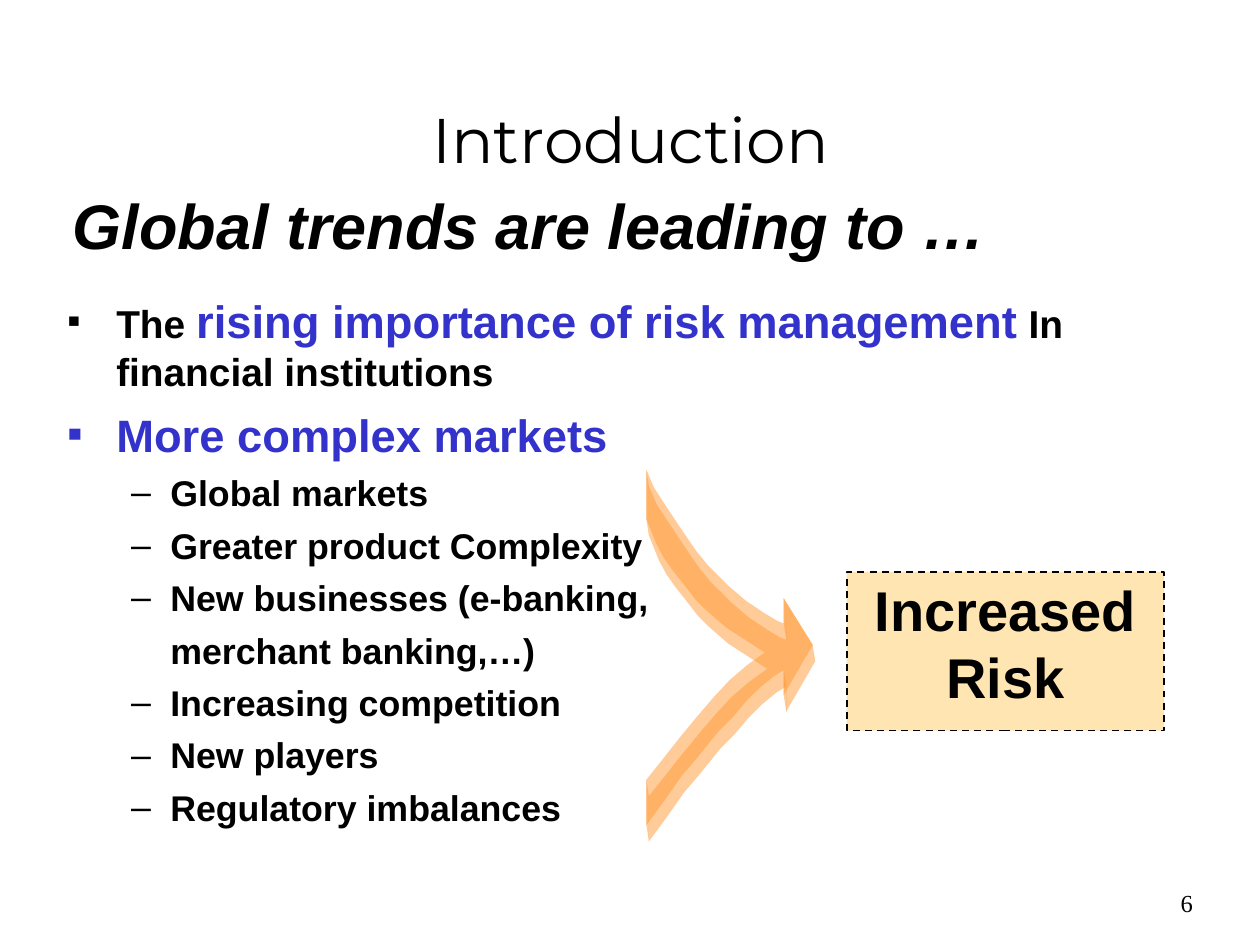
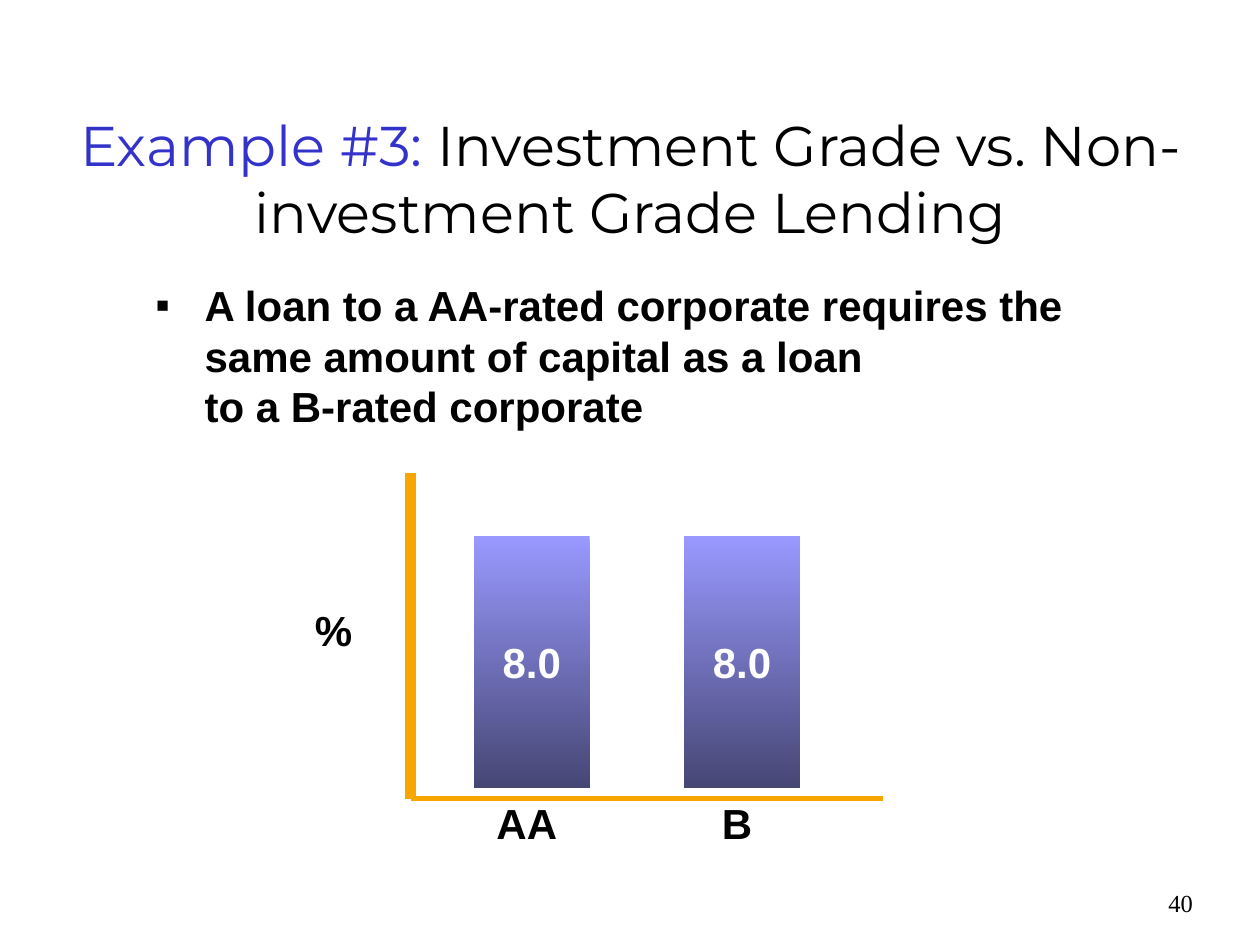
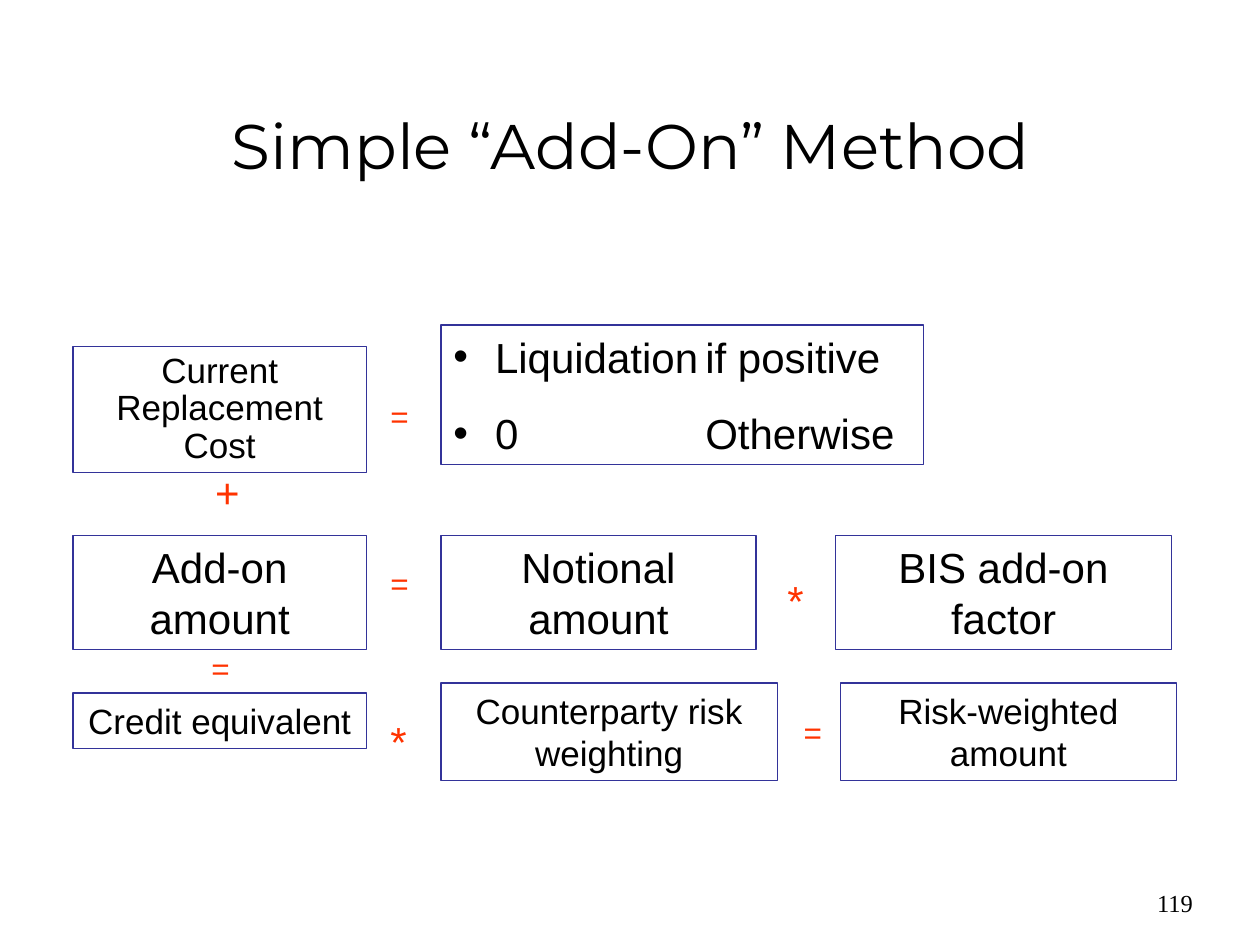
from lxml import etree
from pptx import Presentation
from pptx.dml.color import RGBColor
from pptx.enum.dml import MSO_LINE_DASH_STYLE
from pptx.enum.shapes import MSO_CONNECTOR, MSO_SHAPE
from pptx.enum.text import MSO_ANCHOR, MSO_AUTO_SIZE, PP_ALIGN
from pptx.oxml.ns import qn
from pptx.util import Cm, Pt

LEFT, CENTER, RIGHT = PP_ALIGN.LEFT, PP_ALIGN.CENTER, PP_ALIGN.RIGHT
TOP, MIDDLE = MSO_ANCHOR.TOP, MSO_ANCHOR.MIDDLE
RECTANGLE = MSO_SHAPE.RECTANGLE
STRAIGHT = MSO_CONNECTOR.STRAIGHT
DASH = MSO_LINE_DASH_STYLE.DASH

BLACK = RGBColor(0x00, 0x00, 0x00)
WHITE = RGBColor(0xFF, 0xFF, 0xFF)
BLUE = RGBColor(0x33, 0x33, 0xCC)
BOX_LINE = RGBColor(0x33, 0x33, 0x99)
OPERATOR_RED = RGBColor(0xFF, 0x33, 0x00)
ARROW_ORANGE = RGBColor(0xFF, 0x99, 0x33)
RISK_YELLOW = RGBColor(0xFF, 0xCC, 0x66)
AXIS_ORANGE = RGBColor(0xF8, 0xA5, 0x00)
BAR_TOP = RGBColor(0x99, 0x99, 0xFF)
BAR_BOTTOM = RGBColor(0x46, 0x46, 0x75)

TITLE_FONT, TEXT_FONT, NUMBER_FONT = "Montserrat", "Arial", "Times New Roman"
TITLE_AND_BODY, TITLE_ONLY = 1, 5

# Merging arrow, in hundredths of an inch from its top left corner
ARROW_UNIT = Cm(2.54) / 100
ARROW_DEPTH = (2, 13)
ARROW_OUTLINE = [
    (0, 282), (0, 246), (12, 231), (27, 212), (41, 195), (53, 181), (66, 167),
    (80, 155), (94, 145), (80, 136), (63, 125), (47, 111), (39, 103), (29, 90),
    (21, 80), (14, 70), (8, 59), (0, 39), (0, 0), (6, 14), (15, 28), (23, 40),
    (31, 52), (40, 65), (49, 76), (65, 92), (79, 104), (94, 114), (104, 120),
    (109, 122), (109, 102), (132, 139), (109, 179), (109, 159), (101, 164),
    (90, 173), (79, 184), (68, 197), (57, 208), (40, 229), (28, 243), (14, 263),
]
ARROW_SIDES = [
    ((109, 122), (109, 102)), ((109, 102), (132, 139)), ((109, 179), (109, 159)),
    ((0, 39), (0, 0)), ((0, 282), (0, 246)),
]


# Text helpers
def format_runs(paragraph, size, color=BLACK, font=TEXT_FONT, bold=False, italic=False):
    for run in paragraph.runs:
        run.font.size = Pt(size)
        run.font.name = font
        run.font.color.rgb = color
        run.font.bold = bold
        run.font.italic = italic


def add_runs(paragraph, runs, **style):
    """Fill a paragraph from (text, size, color) runs."""
    for text, size, color in runs:
        run = paragraph.add_run()
        run.text = text
        run.font.size = Pt(size)
        run.font.color.rgb = color
        run.font.name = style.get("font", TEXT_FONT)
        run.font.bold = style.get("bold", False)


def set_bullet(paragraph, character, margin, hanging, color=BLACK, percent=100, tab=None):
    properties = paragraph._p.get_or_add_pPr()
    properties.set("marL", str(Cm(margin)))
    properties.set("indent", str(-Cm(hanging)))
    if character is None:
        etree.SubElement(properties, qn("a:buNone"))
        return
    bullet_color = etree.SubElement(properties, qn("a:buClr"))
    etree.SubElement(bullet_color, qn("a:srgbClr")).set("val", str(color))
    etree.SubElement(properties, qn("a:buSzPct")).set("val", str(percent * 1000))
    etree.SubElement(properties, qn("a:buFont")).set("typeface", TEXT_FONT)
    etree.SubElement(properties, qn("a:buChar")).set("char", character)
    if tab:
        tabs = etree.SubElement(properties, qn("a:tabLst"))
        etree.SubElement(tabs, qn("a:tab"), pos=str(Cm(tab)), algn="l")


def add_text(slide, text, place, size, alignment=CENTER, **style):
    box = slide.shapes.add_textbox(*map(Cm, place))
    frame = box.text_frame
    frame.text = text
    frame.paragraphs[0].alignment = alignment
    format_runs(frame.paragraphs[0], size, **style)
    return frame


# Shared slide parts
def place_placeholder(placeholder, place, anchor):
    placeholder.left, placeholder.top, placeholder.width, placeholder.height = map(Cm, place)
    placeholder.text_frame.auto_size = MSO_AUTO_SIZE.NONE
    placeholder.text_frame.vertical_anchor = anchor


def start_slide(presentation, layout, title_runs, title_top, number):
    slide = presentation.slides.add_slide(presentation.slide_layouts[layout])
    title = slide.shapes.title
    place_placeholder(title, (1.07, title_top, 23.29, 2.74), MIDDLE)
    paragraph = title.text_frame.paragraphs[0]
    paragraph.alignment = CENTER
    add_runs(paragraph, title_runs, font=TITLE_FONT)
    add_text(slide, number, (19.02, 17.78, 5.28, 1.27), 14, RIGHT,
             font=NUMBER_FONT).word_wrap = True
    return slide


def fill_body(slide, place, items):
    """Each item is (level, bullet, runs)."""
    body = slide.placeholders[1]
    place_placeholder(body, place, TOP)
    frame = body.text_frame
    for index, (level, bullet, runs) in enumerate(items):
        paragraph = frame.add_paragraph() if index else frame.paragraphs[0]
        paragraph.level = level
        if level:
            set_bullet(paragraph, bullet, 2.06, 0.79 if bullet else 0)
        else:
            set_bullet(paragraph, bullet, 0.97, 0.97, runs[0][2], 50)
        paragraph.space_before = Pt((5.5 if level else 7) if index else 0)
        add_runs(paragraph, runs, bold=True)


# Shape helpers
def set_opacity(fill, percent):
    color = fill._xPr.find(qn("a:solidFill"))[0]
    etree.SubElement(color, qn("a:alpha")).set("val", str(percent * 1000))


def add_box(slide, place, lines, size, anchor=TOP, color=BLACK, bold=False):
    box = slide.shapes.add_shape(RECTANGLE, *map(Cm, place))
    box.shadow.inherit = False
    box.fill.background()
    box.line.color.rgb = BOX_LINE
    box.line.width = Pt(0.75)
    frame = box.text_frame
    frame.vertical_anchor = anchor
    frame.text = "\n".join(lines)
    for paragraph in frame.paragraphs:
        paragraph.alignment = CENTER
        format_runs(paragraph, size, color, bold=bold)
    return box


def add_line(slide, start, end, width):
    line = slide.shapes.add_connector(STRAIGHT, *map(Cm, start + end))
    line.line.color.rgb = AXIS_ORANGE
    line.line.width = Pt(width)
    etree.SubElement(line._element.spPr, qn("a:effectLst"))


def add_facet(slide, points, left, top):
    builder = slide.shapes.build_freeform(*points[0], scale=ARROW_UNIT)
    builder.add_line_segments(points[1:], close=True)
    facet = builder.convert_to_shape(Cm(left), Cm(top))
    facet.shadow.inherit = False
    facet.fill.solid()
    facet.fill.fore_color.rgb = ARROW_ORANGE
    set_opacity(facet.fill, 50)
    facet.line.fill.background()


def add_merging_arrow(slide, left, top):
    def pushed(points):
        return [(x + ARROW_DEPTH[0], y + ARROW_DEPTH[1]) for x, y in points]

    add_facet(slide, ARROW_OUTLINE, left, top)
    for side in ARROW_SIDES:
        add_facet(slide, list(side) + pushed(side)[::-1], left, top)
    add_facet(slide, pushed(ARROW_OUTLINE), left, top)


def add_bar(slide, left, category, value):
    width = 2.34
    bar = add_box(slide, (left, 10.8, width, 5.08), [value], 24, MIDDLE, WHITE, bold=True)
    bar.line.fill.background()
    bar.fill.gradient()
    bar.fill.gradient_angle = 270
    for stop, color in zip(bar.fill.gradient_stops, (BAR_TOP, BAR_BOTTOM)):
        stop.color.rgb = color
    label = add_text(slide, category, (left - 0.1, 16.08, width, 1.02), 24, bold=True)
    label.margin_top = label.margin_bottom = 0


# Slides
def build_introduction(presentation):
    slide = start_slide(presentation, TITLE_AND_BODY,
                        [("Introduction", 36, BLACK)], 1.42, "6")
    add_merging_arrow(slide, 13.03, 9.47)
    risk = add_box(slide, (17.07, 11.53, 6.4, 3.2), ["Increased", "Risk"], 32, bold=True)
    risk.text_frame.margin_top = Cm(0.07)
    risk.text_frame.word_wrap = False
    risk.fill.solid()
    risk.fill.fore_color.rgb = RISK_YELLOW
    set_opacity(risk.fill, 50)
    risk.line.color.rgb = BLACK
    risk.line.width = Pt(1)
    risk.line.dash_style = DASH

    market_trends = [
        ("–", "Global markets"),
        ("–", "Greater product Complexity"),
        ("–", "New businesses (e-banking,"),
        (None, "merchant banking,…)"),
        ("–", "Increasing competition"),
        ("–", "New players"),
        ("–", "Regulatory imbalances"),
    ]
    items = [
        (0, "■", [("The ", 22.2, BLACK),
                  ("rising importance of risk management", 25.9, BLUE),
                  (" In financial institutions", 22.2, BLACK)]),
        (0, "■", [("More complex markets", 25.9, BLUE)]),
    ]
    items += [(1, bullet, [(text, 20.4, BLACK)]) for bullet, text in market_trends]
    fill_body(slide, (1.12, 5.79, 21.59, 11.43), items)
    add_text(slide, "Global trends are leading to …", (1.22, 3.63, 18.92, 1.78), 36,
             LEFT, bold=True, italic=True).word_wrap = True


def build_lending_example(presentation):
    slide = start_slide(
        presentation, TITLE_AND_BODY,
        [("Example #3: ", 32, BLUE),
         ("Investment Grade vs. Non-investment Grade Lending", 32, BLACK)], 2.21, "40")
    sentence = ("A loan to a AA-rated corporate requires the same amount of capital "
                "as a loan\vto a B-rated corporate")
    fill_body(slide, (2.9, 5.51, 20.6, 11.43), [(0, "■", [(sentence, 24, BLACK)])])
    # Python-pptx runs keep no line break, so the sentence is set as a whole
    paragraph = slide.placeholders[1].text_frame.paragraphs[0]
    paragraph.text = sentence
    format_runs(paragraph, 24, bold=True)

    # Capital bars on their axes
    origin = (8.28, 16.1)
    add_line(slide, (8.28, 9.53), origin, 6)
    add_line(slide, origin, (17.81, 16.1), 3)
    for index, category in enumerate(("AA", "B")):
        add_bar(slide, 9.55 + index * 4.24, category, "8.0")
    add_text(slide, "%", (6.1, 12.07, 1.24, 1.27), 24, bold=True)


def build_add_on_method(presentation):
    slide = start_slide(presentation, TITLE_ONLY,
                        [("Simple “Add-On” Method", 36, BLACK)], 1.65, "119")
    slide.shapes.title.text_frame.paragraphs[0].line_spacing = 0.85

    # Formula terms
    first, second = 1.47, 8.89
    cost = add_box(slide, (first, 6.99, 5.92, 2.54), ["Current Replacement Cost"], 20)
    cost.text_frame.paragraphs[0].line_spacing = 0.9
    for text, place, size in [
        ("Add-on amount", (first, 10.8, 5.92, 2.29), 24),
        ("Notional amount", (second, 10.8, 6.35, 2.29), 24),
        ("BIS add-on factor", (16.84, 10.8, 6.78, 2.29), 24),
        ("Credit equivalent", (first, 13.97, 5.92, 1.12), 20),
        ("Counterparty risk weighting", (second, 13.77, 6.78, 1.96), 20),
        ("Risk-weighted amount", (16.94, 13.77, 6.78, 1.96), 20),
    ]:
        add_box(slide, place, [text], size)

    cases = add_box(slide, (second, 6.55, 9.73, 2.82),
                    ["Liquidation\tif positive", "0\tOtherwise"], 24)
    for index, paragraph in enumerate(cases.text_frame.paragraphs):
        set_bullet(paragraph, "•", 0.84, 0.84, tab=5.08)
        paragraph.alignment = LEFT
        paragraph.space_before = Pt(15 * index)

    # Operators between the terms
    for symbol, left, top, size in [
        ("=", 7.62, 7.87, 18), ("=", 7.62, 11.25, 18),
        ("=", 4.01, 12.95, 18), ("=", 15.95, 14.25, 18),
        ("*", 15.62, 11.46, 24), ("*", 7.62, 14.3, 24), ("+", 4.09, 9.27, 24),
    ]:
        add_text(slide, symbol, (left, top, 0.83, size * 0.05), size, color=OPERATOR_RED)


def main():
    presentation = Presentation()
    presentation.slide_width, presentation.slide_height = Cm(25.4), Cm(19.05)
    build_introduction(presentation)
    build_lending_example(presentation)
    build_add_on_method(presentation)
    presentation.save("out.pptx")


if __name__ == "__main__":
    main()
